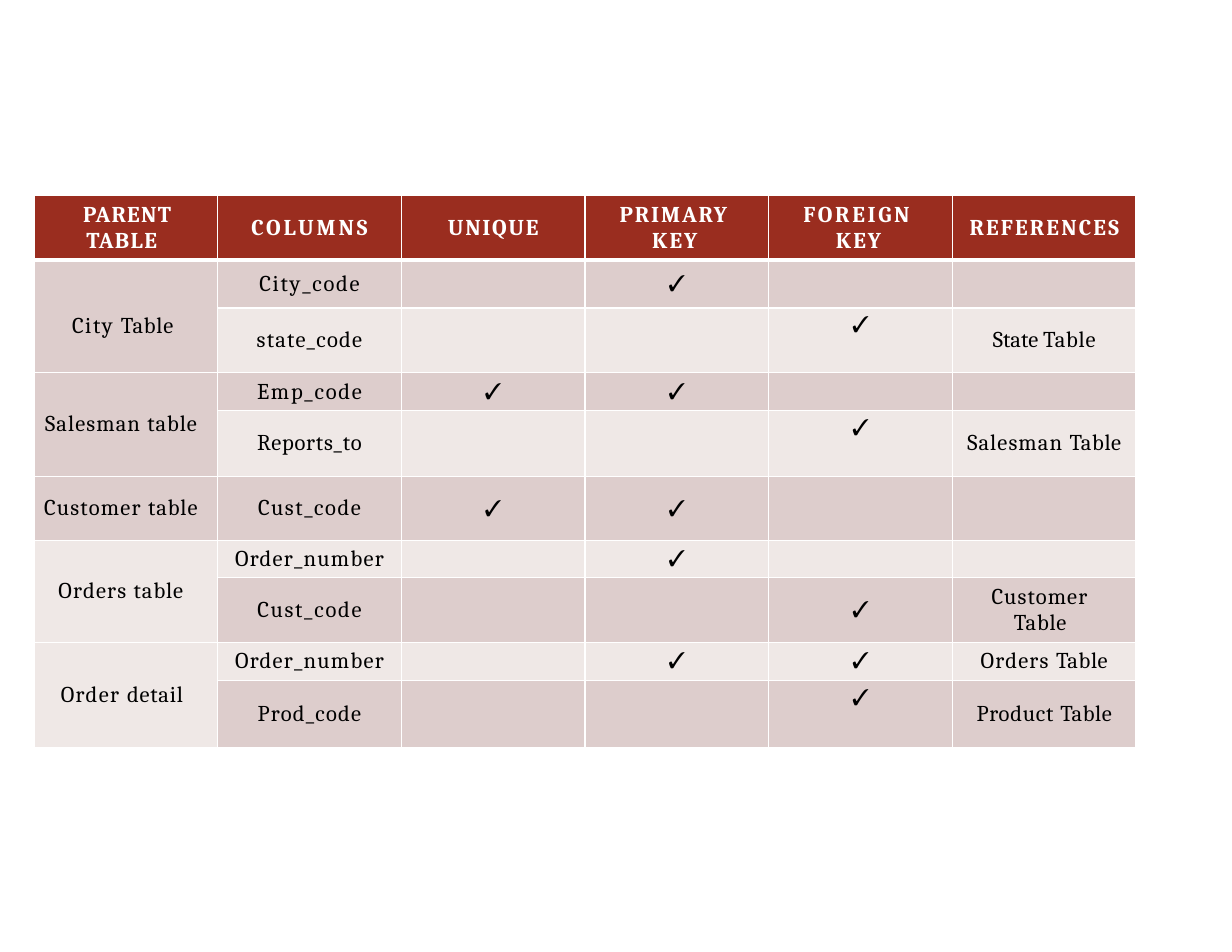
from lxml import etree
from pptx import Presentation
from pptx.dml.color import RGBColor
from pptx.enum import text
from pptx.oxml.ns import qn
from pptx.util import Pt

WHITE = RGBColor(0xFF, 0xFF, 0xFF)
BLACK = RGBColor(0, 0, 0)
RED = RGBColor(0x9A, 0x2D, 0x1F)
BANDS = [RGBColor(0xEF, 0xE8, 0xE6), RGBColor(0xDD, 0xCD, 0xCC)]

COL_WIDTH = 118.1
ROW_HEIGHTS = [41.5, 30.9, 41.6, 24.4, 42.4, 41.2, 23.7, 41.7, 24.4, 43.5]
UNIQUE, PRIMARY, FOREIGN = 2, 3, 4

# Text is a list of (words, letter spacing); a hanging pair is (left, first line).
HEADERS = [
    ([("PARENT ", 0.8), ("TABLE", 0.9)], (33.8, -2.2)),
    ([("COLUMNS", 1.8)], None),
    ([("UNIQUE", 1.1)], None),
    ([("PRIMARY ", 1.2), ("KEY", 1.3)], (43.2, -20.9)),
    ([("FOREIGN ", 1.7), ("KEY", 1.3)], (43.2, -20.9)),
    ([("REFERENCES", 1.4)], None),
]
# First row, rows spanned, text, left indent, top margin
PARENTS = [
    (1, 2, [("City ", 1), ("Table", 0.5)], 24.5, 13),
    (3, 2, [("Salesman ", 0.7), ("table", 0.6)], 7.2, 0),
    (5, 1, [("Customer ", 0.8), ("table", 0.6)], 6.5, 0),
    (6, 2, [("Orders ", 0.8), ("table", 0.6)], 15.8, 0),
    (8, 2, [("Order ", 0.9), ("detail", 0.5)], 17.3, 0),
]
# Column name, spacing, ticked columns, referenced table
KEYS = [
    ("City_code", 1.1, [PRIMARY], None),
    ("state_code", 0.8, [FOREIGN], [("State ", 0), ("Table", 0.5)]),
    ("Emp_code", 1.1, [UNIQUE, PRIMARY], None),
    ("Reports_to", 0.5, [FOREIGN], [("Salesman ", 0.7), ("Table", 0.4)]),
    ("Cust_code", 1, [UNIQUE, PRIMARY], None),
    ("Order_number", 0.8, [PRIMARY], None),
    ("Cust_code", 1.1, [FOREIGN], [("Customer ", 0.7), ("Table", 0.5)]),
    ("Order_number", 0.8, [PRIMARY, FOREIGN], [("Orders ", 0.8), ("Table", 0.4)]),
    ("Prod_code", 0.8, [FOREIGN], [("Product ", 0.5), ("Table", 0.4)]),
]
TOP_TICK_ROWS = (2, 4, 9)
HANGING_REFERENCE_ROW = 7


def write(cell, words, color=BLACK, font="Cambria", bold=False, indent=None, top=0,
          anchor=text.MSO_ANCHOR.MIDDLE):
    """Fill a cell with spaced words, centred unless an indent pair is given."""
    cell.vertical_anchor = anchor
    cell.margin_top = Pt(top)
    p = cell.text_frame.paragraphs[0]
    if indent:
        p.alignment = text.PP_ALIGN.LEFT
        left, first = indent
        pPr = p._p.get_or_add_pPr()
        pPr.set("marL", str(int(Pt(left))))
        pPr.set("indent", str(int(Pt(first))))
        if first:
            p.line_spacing = 1.02
    else:
        p.alignment = text.PP_ALIGN.CENTER
    for word, spacing in words:
        r = p.add_run()
        r.text = word
        r.font.name, r.font.size, r.font.bold = font, Pt(14.5), bold
        r.font.color.rgb = color
        r._r.get_or_add_rPr().set("spc", str(round(spacing * 100)))


def add_borders(cell, **widths):
    tcPr = cell._tc.get_or_add_tcPr()
    for i, side in enumerate(("lnL", "lnR", "lnT", "lnB")):
        ln = etree.Element(qn("a:" + side), w=str(int(Pt(widths.get(side, 1)))))
        fill = etree.SubElement(ln, qn("a:solidFill"))
        etree.SubElement(fill, qn("a:srgbClr"), val=str(WHITE))
        tcPr.insert(i, ln)


def add_grid(s):
    rows, cols = len(ROW_HEIGHTS), len(HEADERS)
    frame = s.shapes.add_table(rows, cols, Pt(21.8), Pt(125.6),
                               Pt(COL_WIDTH * cols), Pt(sum(ROW_HEIGHTS)))
    table = frame.table
    for column in table.columns:
        column.width = Pt(COL_WIDTH)
    for i, height in enumerate(ROW_HEIGHTS):
        table.rows[i].height = Pt(height)
        for j in range(cols):
            cell = table.cell(i, j)
            cell.margin_left = cell.margin_right = 0
            cell.margin_top = cell.margin_bottom = 0
            cell.fill.solid()
            cell.fill.fore_color.rgb = BANDS[i % 2] if i else RED
            add_borders(cell, lnB=1 if i else 3, lnT=3 if i == 1 else 1)
    return table


def fill_headers(table):
    for j, (words, indent) in enumerate(HEADERS):
        write(table.cell(0, j), words, color=WHITE, bold=True, indent=indent)


def fill_parents(table):
    for row, span, words, left, top in PARENTS:
        cell = table.cell(row, 0)
        if span > 1:
            cell.merge(table.cell(row + span - 1, 0))
        write(cell, words, indent=(left, 0), top=top)


def fill_keys(table):
    for i, (name, spacing, ticks, reference) in enumerate(KEYS, 1):
        write(table.cell(i, 1), [(name, spacing)])
        at_top = i in TOP_TICK_ROWS
        for j in ticks:
            write(table.cell(i, j), [("✓", -3.7)], font="Times New Roman", bold=True,
                  top=3 if at_top else 0,
                  anchor=text.MSO_ANCHOR.TOP if at_top else text.MSO_ANCHOR.MIDDLE)
        if reference:
            write(table.cell(i, 5), reference,
                  indent=(39.6, -14.4) if i == HANGING_REFERENCE_ROW else None)


def main():
    prs = Presentation()
    prs.slide_width, prs.slide_height = Pt(792), Pt(612)
    s = prs.slides.add_slide(prs.slide_layouts[6])
    table = add_grid(s)
    fill_headers(table)
    fill_parents(table)
    fill_keys(table)
    prs.save("out.pptx")


if __name__ == "__main__":
    main()
